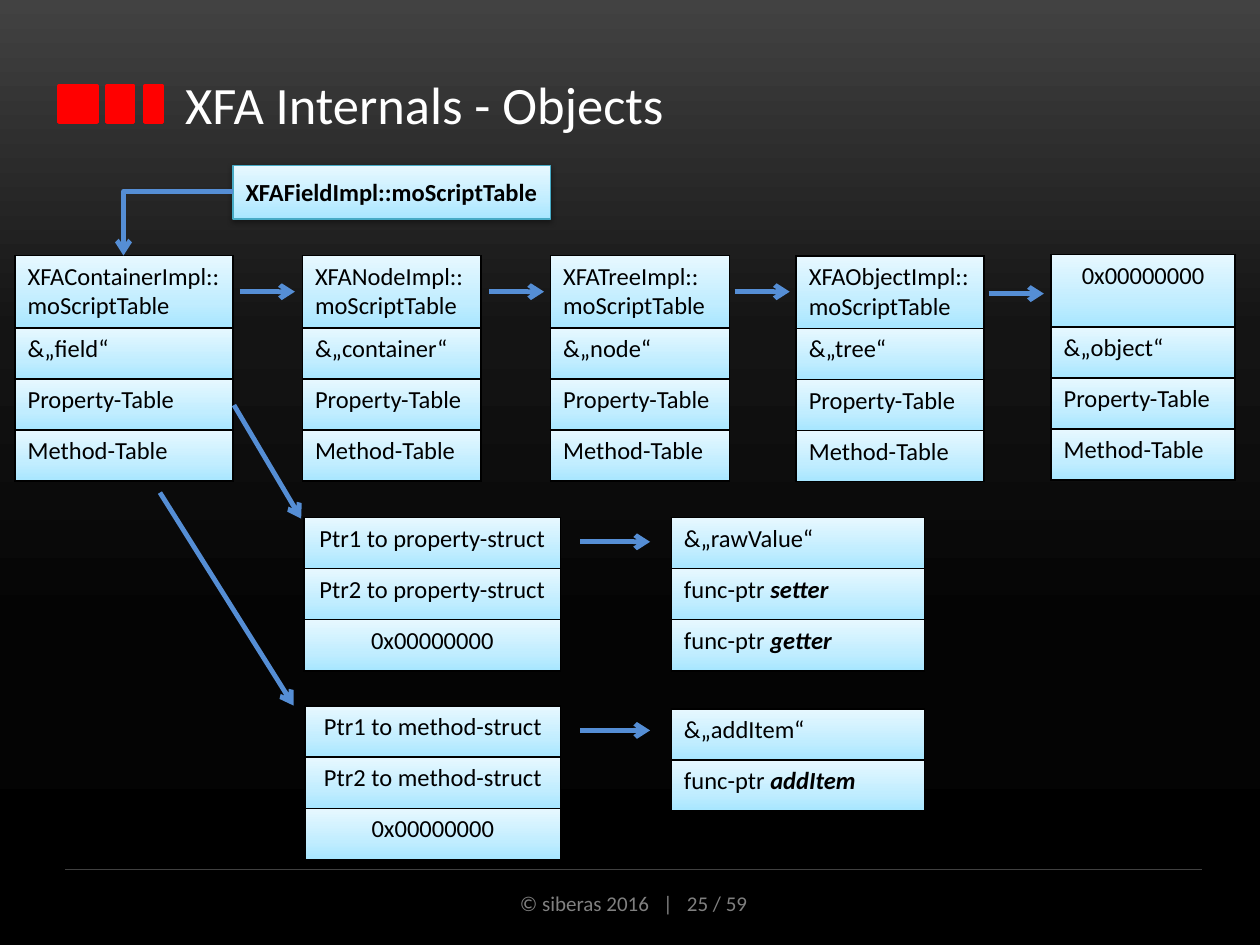
from typing import NamedTuple

from lxml.etree import SubElement
from pptx import Presentation
from pptx.dml.color import RGBColor
from pptx.enum.shapes import MSO_CONNECTOR, MSO_SHAPE
from pptx.enum.text import MSO_ANCHOR, PP_ALIGN
from pptx.oxml import parse_xml
from pptx.oxml.ns import nsdecls, qn
from pptx.util import Pt

COLORS = {
    "text": "000000", "title": "FFFFFF", "footer": "808080", "rule": "404040",
    "accent": "FF0000", "arrow": "558ED5", "border": "000000", "box_line": "46AAC5",
}
BACKDROP_STOPS = [(0, "424242"), (35, "141414"), (67, "040404"), (100, "000000")]
ICE_STOPS = [(0, "A7E6FF"), (35, "C1EDFF"), (100, "E7F8FF")]
ROW_HEIGHT = 29.2
HEADER_HEIGHT = 41.4


class Row(NamedTuple):
    text: str
    emphasis: str = ""
    align: PP_ALIGN = PP_ALIGN.LEFT


class Struct(NamedTuple):
    left: float
    top: float
    width: float
    rows: list[Row]
    first_height: float = ROW_HEIGHT


class Arrow(NamedTuple):
    x1: float
    y1: float
    x2: float
    y2: float


def centered(text: str) -> Row:
    return Row(text, align=PP_ALIGN.CENTER)


def script_table(left: float, top: float, width: float, parent: Row, name: str) -> Struct:
    rows = [parent, Row(f"&„{name}“"), Row("Property-Table"), Row("Method-Table")]
    return Struct(left, top, width, rows, HEADER_HEIGHT)


def pointer_list(left: float, top: float, width: float, kind: str) -> Struct:
    labels = [f"Ptr{n} to {kind}-struct" for n in (1, 2)] + ["0x00000000"]
    return Struct(left, top, width, [centered(label) for label in labels])


STRUCTS = [
    script_table(8.6, 146, 124.6, Row("XFAContainerImpl::moScriptTable"), "field"),
    script_table(172.8, 146, 102.2, Row("XFANodeImpl::moScriptTable"), "container"),
    script_table(314.6, 146, 102.2, Row("XFATreeImpl::moScriptTable"), "node"),
    script_table(455, 146.2, 107.3, Row("XFAObjectImpl::moScriptTable"), "tree"),
    script_table(600.6, 145.4, 105.2, centered("0x00000000"), "object"),
    pointer_list(173.7, 295.7, 146.7, "property"),
    pointer_list(174.4, 403.5, 146, "method"),
    Struct(383.6, 295.7, 144.6,
           [Row("&„rawValue“"), Row("func-ptr ", "setter"), Row("func-ptr ", "getter")]),
    Struct(383.6, 405, 144.6, [Row("&„addItem“"), Row("func-ptr ", "addItem")]),
]
ARROWS = [
    Arrow(137, 166.7, 168.5, 166.7),
    Arrow(279.4, 166.7, 310.9, 166.7),
    Arrow(419.8, 166.7, 451.3, 166.7),
    Arrow(565, 167.8, 596.5, 167.8),
    Arrow(133.7, 231.5, 172.1, 296.4),
    Arrow(91.4, 281.5, 167.8, 403.2),
    Arrow(331.7, 309.6, 371.5, 309.6),
    Arrow(331.7, 417.4, 371.5, 417.4),
]
ELBOW = Arrow(133.2, 109.3, 70.6, 146)


def rgb(name: str) -> RGBColor:
    return RGBColor.from_string(COLORS[name])


def add_text(paragraph, text: str, *, size: float = 14, color: str = "text",
             bold: bool = False, italic: bool = False) -> None:
    run = paragraph.add_run()
    run.text = text
    font = run.font
    font.name, font.size, font.bold, font.italic = "Calibri", Pt(size), bold, italic
    font.color.rgb = rgb(color)


def fill_gradient(fill, holder, stops: list[tuple[int, str]], angle: float) -> None:
    """Give fill the stops; holder is the XML element that contains it."""
    fill.gradient()
    fill.gradient_angle = angle
    stop_list = holder.find(".//" + qn("a:gsLst"))
    for old_stop in list(stop_list):
        stop_list.remove(old_stop)
    for percent, color in stops:
        stop = SubElement(stop_list, qn("a:gs"), pos=str(percent * 1000))
        SubElement(stop, qn("a:srgbClr"), val=color)


def add_borders(cell) -> None:
    properties = cell._tc.get_or_add_tcPr()
    for index, side in enumerate(("lnL", "lnR", "lnT", "lnB")):
        properties.insert(index, parse_xml(
            f'<a:{side} {nsdecls("a")} w="12700"><a:solidFill>'
            f'<a:srgbClr val="{COLORS["border"]}"/></a:solidFill></a:{side}>'))


def add_struct(slide, struct: Struct) -> None:
    heights = [struct.first_height] + [ROW_HEIGHT] * (len(struct.rows) - 1)
    table = slide.shapes.add_table(len(heights), 1, Pt(struct.left), Pt(struct.top),
                                   Pt(struct.width), Pt(sum(heights))).table
    table.first_row = table.horz_banding = False
    for index, (row, height) in enumerate(zip(struct.rows, heights)):
        table.rows[index].height = Pt(height)
        cell = table.cell(index, 0)
        fill_gradient(cell.fill, cell._tc, ICE_STOPS, 90)
        add_borders(cell)
        paragraph = cell.text_frame.paragraphs[0]
        paragraph.alignment = row.align
        add_text(paragraph, row.text)
        if row.emphasis:
            add_text(paragraph, row.emphasis, bold=True, italic=True)


def add_line(slide, ends: Arrow, *, color: str = "arrow", width: float = 2.75,
             head: bool = True, kind: MSO_CONNECTOR = MSO_CONNECTOR.STRAIGHT):
    connector = slide.shapes.add_connector(kind, *(Pt(value) for value in ends))
    connector.line.color.rgb = rgb(color)
    connector.line.width = Pt(width)
    if head:
        SubElement(connector.line._get_or_add_ln(), qn("a:tailEnd"), type="arrow")
    SubElement(connector._element.spPr, qn("a:effectLst"))
    return connector


def add_rectangle(slide, left: float, top: float, width: float, height: float,
                  line_color: str, line_width: float):
    rectangle = slide.shapes.add_shape(MSO_SHAPE.RECTANGLE, Pt(left), Pt(top),
                                       Pt(width), Pt(height))
    rectangle.shadow.inherit = False
    rectangle.line.color.rgb = rgb(line_color)
    rectangle.line.width = Pt(line_width)
    return rectangle


def add_field_box(slide) -> None:
    box = add_rectangle(slide, 133.2, 94.5, 181.4, 30.6, "box_line", 0.75)
    fill_gradient(box.fill, box._element.spPr, ICE_STOPS, 90)
    effects = box._element.spPr.find(qn("a:effectLst"))
    shadow = SubElement(effects, qn("a:outerShdw"), blurRad="40000", dist="20000",
                        dir="5400000", rotWithShape="0")
    shade = SubElement(shadow, qn("a:srgbClr"), val="000000")
    SubElement(shade, qn("a:alpha"), val="38000")
    frame = box.text_frame
    frame.vertical_anchor = MSO_ANCHOR.MIDDLE
    frame.paragraphs[0].alignment = PP_ALIGN.LEFT
    add_text(frame.paragraphs[0], "XFAFieldImpl::moScriptTable", bold=True)


def add_frame(slide) -> None:
    """Background, red marks, title and footer."""
    fill_gradient(slide.background.fill, slide._element.cSld, BACKDROP_STOPS, 270)
    for left, width in ((33.8, 21.6), (61.2, 15.1), (82.8, 10)):
        mark = add_rectangle(slide, left, 49, width, 20.9, "accent", 2)
        mark.fill.solid()
        mark.fill.fore_color.rgb = rgb("accent")
    add_line(slide, Arrow(37.4, 496.8, 686.9, 496.8), color="rule", width=0.75, head=False)

    footer = slide.shapes.add_textbox(Pt(242.6), Pt(505.4), Pt(239), Pt(21.6)).text_frame
    footer.word_wrap = True
    footer.paragraphs[0].alignment = PP_ALIGN.CENTER
    add_text(footer.paragraphs[0], "© siberas 2016   |   25 / 59", size=12, color="footer")

    title = slide.shapes.title
    title.left, title.top, title.width, title.height = Pt(98.6), Pt(28.1), Pt(582.5), Pt(62.6)
    title.text_frame.vertical_anchor = MSO_ANCHOR.MIDDLE
    title.text_frame.paragraphs[0].alignment = PP_ALIGN.LEFT
    add_text(title.text_frame.paragraphs[0], "XFA Internals - Objects", size=30, color="title")


def main() -> None:
    presentation = Presentation()
    presentation.slide_width, presentation.slide_height = Pt(720), Pt(540)
    slide = presentation.slides.add_slide(presentation.slide_layouts[5])
    add_frame(slide)
    for struct in STRUCTS:
        add_struct(slide, struct)
    for arrow in ARROWS:
        add_line(slide, arrow)
    add_field_box(slide)
    elbow = add_line(slide, ELBOW, kind=MSO_CONNECTOR.ELBOW)
    elbow._element.spPr.find(qn("a:prstGeom")).set("prst", "bentConnector2")
    presentation.save("out.pptx")


if __name__ == "__main__":
    main()
